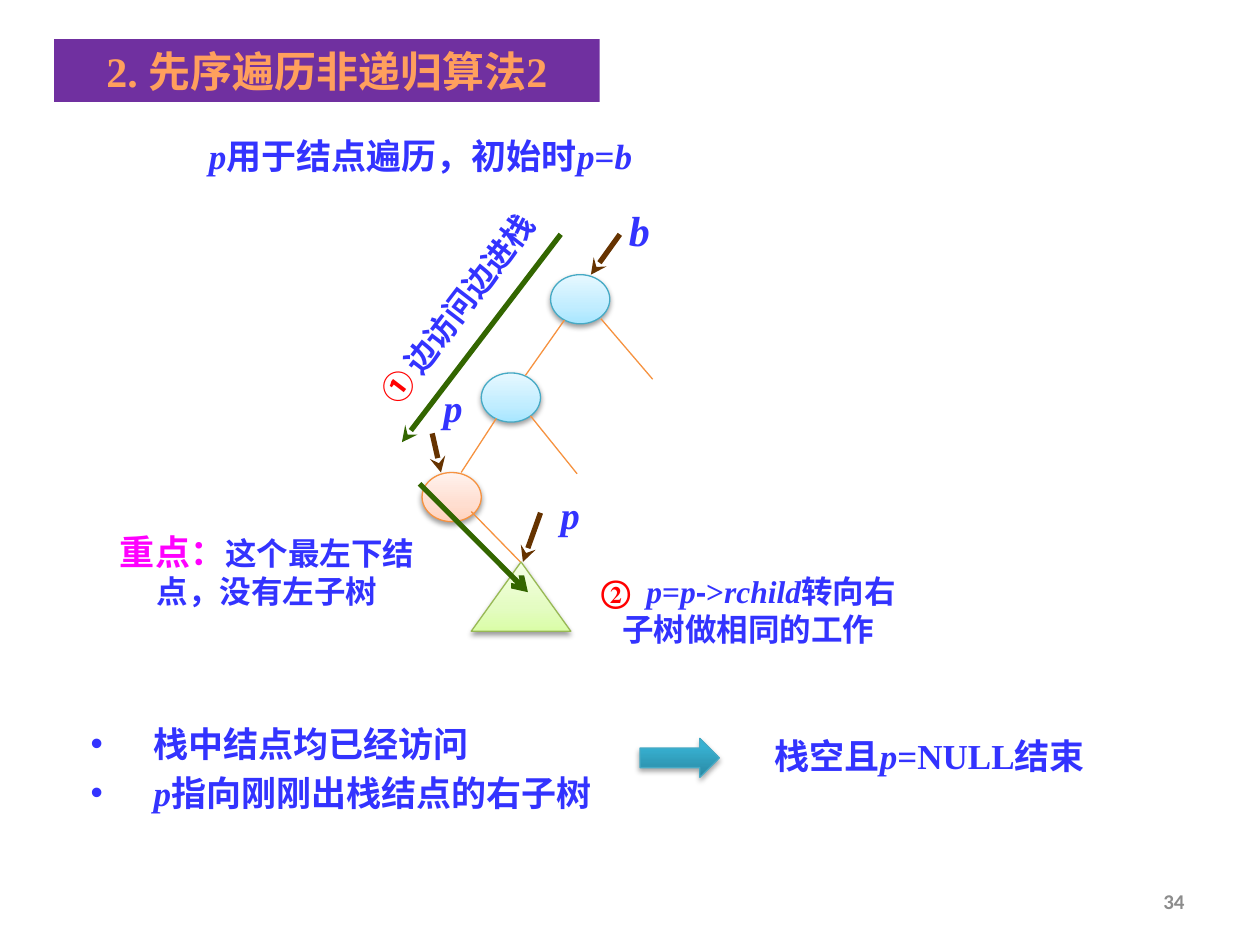
from lxml import etree
from pptx import Presentation
from pptx import util as u
from pptx.dml.color import RGBColor
from pptx.enum import shapes, text
from pptx.oxml.ns import qn

COLORS = {"banner": "7030A0", "blue": "3333FF", "red": "FF0000", "magenta": "FF00FF",
          "brown": "663300", "green": "336600", "orange": "F69240", "teal": "46AAC5",
          "olive": "98B955", "gray": "8C8C8C", "shadow": "000000"}
GRADIENTS = {
    "title": [(0, "FFA367"), (25, "FF9F5D"), (50, "F38E3A"), (75, "FF9F5D"), (100, "FFA367")],
    "sky": [(0, "A7E6FF"), (35, "C1EDFF"), (100, "E7F8FF")],
    "peach": [(0, "FFD2BD"), (35, "FFDED0"), (100, "FFF2ED")],
    "lime": [(0, "DAFDA7"), (35, "E4FCC2"), (100, "F5FFE7")],
    "teal": [(0, "2A88A2"), (80, "37B1D2"), (100, "34B4D6")],
}
# Run styles: color, italic, size override, font override
STYLES = {"plain": ("blue", False, None, None), "var": ("blue", True, None, None),
          "mark": ("red", False, None, None), "key": ("magenta", False, 20, None),
          "dash": ("blue", False, None, "Arial"), "number": ("gray", False, None, "Calibri")}

TITLE = "2. 先序遍历非递归算法2"
KIND = shapes.MSO_SHAPE
NODE_SIZE = (0.47, 0.39)
# Kind, box, gradient, outline, shadow opacity
FIGURES = [
    (KIND.OVAL, (4.37, 2.18, *NODE_SIZE), "sky", "teal", 38),
    (KIND.OVAL, (3.82, 2.96, *NODE_SIZE), "sky", "teal", 38),
    (KIND.OVAL, (3.35, 3.75, *NODE_SIZE), "peach", "orange", 38),
    (KIND.ISOSCELES_TRIANGLE, (3.74, 4.46, 0.79, 0.55), "lime", "olive", 38),
    (KIND.RIGHT_ARROW, (5.08, 5.86, 0.63, 0.31), "teal", "teal", 35),
]
EDGES = [
    ((4.48, 2.54), (4.17, 2.98)),
    ((3.94, 3.32), (3.66, 3.75)),
    ((4.77, 2.53), (5.18, 3.01)),
    ((3.74, 4.06), (4.13, 4.46)),
    ((4.21, 3.30), (4.58, 3.76)),
]
POINTERS = [
    ((4.92, 1.86), (4.69, 2.18), "brown", "stealth"),
    ((3.43, 3.44), (3.50, 3.75), "brown", "stealth"),
    ((4.45, 1.86), (3.19, 3.51), "green", "stealth"),
    ((4.29, 4.07), (4.15, 4.46), "brown", "stealth"),
    ((3.33, 3.84), (4.19, 4.70), "green", "arrow"),
]
# Box, size, paragraphs of (text, style) runs, options
LABELS = [
    ((4.92, 1.62, 0.31, 0.40), 24, [[("b", "var")]], {"inset": 0}),
    ((3.44, 3.05, 0.31, 0.37), 22, [[("p", "var")]], {"inset": 0}),
    ((4.37, 3.90, 0.31, 0.37), 22, [[("p", "var")]], {"inset": 0}),
    ((0.86, 4.21, 2.52, 0.64), 18,
     [[("重点：", "key"), ("这个最左下结点，没有左子树", "plain")]], {"inset": 0}),
    ((2.27, 2.25, 2.72, 0.40), 18,
     [[("① ", "mark"), ("边访问边进栈", "plain")]], {"rotation": 307.4}),
    ((4.69, 4.54, 2.50, 0.61), 18,
     [[("②  ", "mark"), ("p", "var"), ("=", "plain"), ("p", "var"), ("-", "dash"),
       (">", "plain"), ("rchild", "var"), ("转向右子树做相同的工作", "plain")]], {"inset": 0}),
    ((1.56, 1.02, 4.49, 0.44), 20,
     [[("p", "var"), ("用于结点遍历，初始时", "plain"), ("p", "var"), ("=", "plain"),
       ("b", "var")]], {"align": "LEFT"}),
    ((0.62, 5.63, 4.22, 0.89), 20,
     [[("栈中结点均已经访问", "plain")],
      [("p", "var"), ("指向刚刚出栈结点的右子树", "plain")]], {"align": "LEFT", "bullets": True}),
    ((5.70, 5.78, 3.36, 0.44), 20,
     [[("栈空且", "plain"), ("p", "var"), ("=NULL结束", "plain")]], {}),
    ((7.17, 6.95, 2.33, 0.40), 12, [[("34", "number")]], {"align": "RIGHT", "anchor": "MIDDLE"}),
]


def rgb(name):
    return RGBColor.from_string(COLORS[name])


def inches(values):
    return [u.Inches(value) for value in values]


def child(parent, tag, **attributes):
    return etree.SubElement(parent, qn(tag), {key: str(val) for key, val in attributes.items()})


def set_gradient(fill, owner, stops, angle):
    """Fill with any number of stops; owner is the XML element that holds the fill."""
    fill.gradient()
    fill.gradient_angle = angle
    stop_list = owner.find(qn("a:gradFill")).find(qn("a:gsLst"))
    for stop in list(stop_list):
        stop_list.remove(stop)
    for position, color in stops:
        stop = child(stop_list, "a:gs", pos=position * 1000)
        child(stop, "a:srgbClr", val=color)


def add_shadow(shape, opacity):
    shape.shadow.inherit = False
    effects = shape._element.spPr.find(qn("a:effectLst"))
    outer = child(effects, "a:outerShdw", blurRad=u.Pt(3.1), dist=u.Pt(1.6),
                  dir=90 * 60000, rotWithShape=0)
    color = child(outer, "a:srgbClr", val=COLORS["shadow"])
    child(color, "a:alpha", val=opacity * 1000)


def add_line(page, start, end, color, width, head=None):
    line = page.shapes.add_connector(shapes.MSO_CONNECTOR.STRAIGHT, *inches(start + end))
    line.line.color.rgb = rgb(color)
    line.line.width = u.Pt(width)
    if head:
        child(line.line._get_or_add_ln(), "a:tailEnd", type=head)
    child(line._element.spPr, "a:effectLst")


def add_bullet(para):
    props = para._p.get_or_add_pPr()
    props.set("marL", str(u.Inches(0.5)))
    props.set("indent", str(u.Inches(-0.5)))
    para.line_spacing = u.Pt(28)
    child(props, "a:buFont", typeface="Arial")
    child(props, "a:buChar", char="•")


def add_label(page, box, size, paragraphs, align="CENTER", anchor="TOP", inset=None,
              rotation=0, bullets=False):
    label = page.shapes.add_textbox(*inches(box))
    label.rotation = rotation
    frame = label.text_frame
    frame.word_wrap = True
    frame.vertical_anchor = getattr(text.MSO_ANCHOR, anchor)
    if inset is not None:
        frame.margin_left = frame.margin_right = frame.margin_top = frame.margin_bottom = inset
    for index, runs in enumerate(paragraphs):
        para = frame.add_paragraph() if index else frame.paragraphs[0]
        para.alignment = getattr(text.PP_ALIGN, align)
        if bullets:
            add_bullet(para)
        for words, style in runs:
            color, italic, own_size, own_font = STYLES[style]
            span = para.add_run()
            span.text = words
            span.font.size = u.Pt(own_size or size)
            span.font.name = own_font or "Times New Roman"
            span.font.bold = True
            span.font.italic = italic
            span.font.color.rgb = rgb(color)


def format_title(title):
    title.left, title.top, title.width, title.height = inches((0.43, 0.31, 4.33, 0.5))
    title.fill.solid()
    title.fill.fore_color.rgb = rgb("banner")
    frame = title.text_frame
    frame.text = TITLE
    frame.word_wrap = True
    frame.auto_size = text.MSO_AUTO_SIZE.NONE
    frame.vertical_anchor = text.MSO_ANCHOR.MIDDLE
    para = frame.paragraphs[0]
    para.alignment = text.PP_ALIGN.CENTER
    span = para.runs[0]
    span.font.size = u.Pt(24)
    span.font.bold = True
    span.font.name = "Times New Roman"
    set_gradient(span.font.fill, span._r.get_or_add_rPr(), GRADIENTS["title"], 270)


def main():
    deck = Presentation()
    deck.slide_width, deck.slide_height = inches((10, 7.5))
    page = deck.slides.add_slide(deck.slide_layouts[5])
    format_title(page.shapes.title)
    for kind, box, gradient, outline, opacity in FIGURES:
        figure = page.shapes.add_shape(kind, *inches(box))
        set_gradient(figure.fill, figure._element.spPr, GRADIENTS[gradient], 90)
        figure.line.color.rgb = rgb(outline)
        figure.line.width = u.Pt(0.75)
        add_shadow(figure, opacity)
    for start, end in EDGES:
        add_line(page, start, end, "orange", 0.75)
    for start, end, color, head in POINTERS:
        add_line(page, start, end, color, 3, head)
    for box, size, paragraphs, options in LABELS:
        add_label(page, box, size, paragraphs, **options)
    deck.save("out.pptx")


if __name__ == "__main__":
    main()
